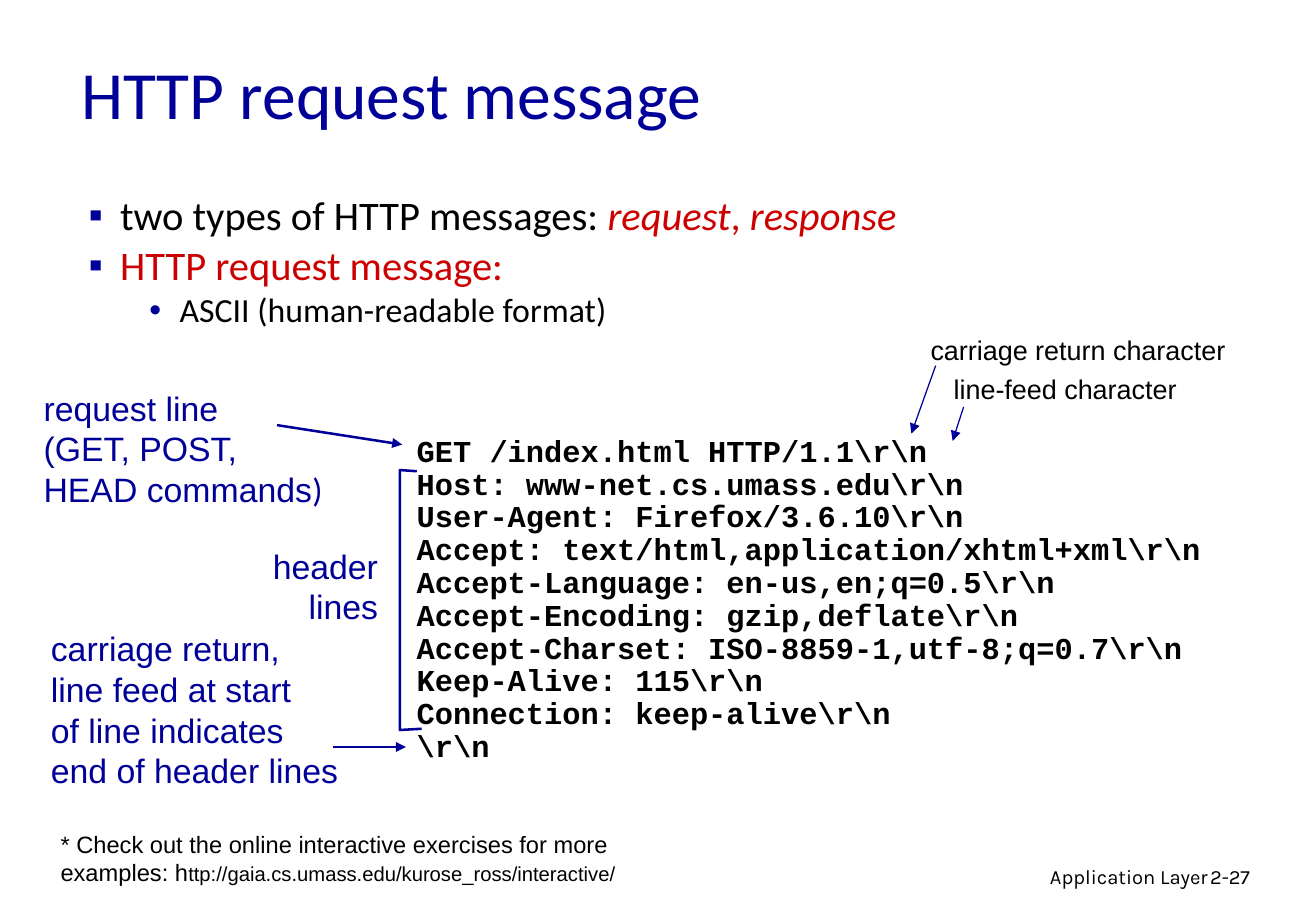
import pptx
import pptx.util
import pptx.dml.color
import pptx.enum.shapes
import pptx.enum.text
import pptx.oxml.ns
from lxml import etree

Inches = pptx.util.Inches
Pt = pptx.util.Pt
RGBColor = pptx.dml.color.RGBColor
ALIGN = pptx.enum.text.PP_ALIGN
ANCHOR = pptx.enum.text.MSO_ANCHOR

NAVY = RGBColor(0x00, 0x00, 0x99)
RED = RGBColor(0xCC, 0x00, 0x00)
BLACK = RGBColor(0x00, 0x00, 0x00)

REQUEST = r"""GET /index.html HTTP/1.1\r\n
Host: www-net.cs.umass.edu\r\n
User-Agent: Firefox/3.6.10\r\n
Accept: text/html,application/xhtml+xml\r\n
Accept-Language: en-us,en;q=0.5\r\n
Accept-Encoding: gzip,deflate\r\n
Accept-Charset: ISO-8859-1,utf-8;q=0.7\r\n
Keep-Alive: 115\r\n
Connection: keep-alive\r\n
\r\n"""


def add_child(parent, tag, **attributes):
    child = etree.SubElement(parent, pptx.oxml.ns.qn(tag))
    for name, value in attributes.items():
        child.set(name, value)
    return child


def style_run(r, size, font, color, bold=False, italic=False):
    r.font.size = Pt(size)
    r.font.name = font
    r.font.color.rgb = color
    r.font.bold = bold
    r.font.italic = italic


def add_text(slide, box, text, size, font="Arial", color=BLACK, wrap=False,
             align=ALIGN.LEFT, spacing=None, bold=False, anchor=ANCHOR.TOP):
    """Add a text box with one paragraph for each line of text."""
    tf = slide.shapes.add_textbox(*map(Inches, box)).text_frame
    tf.word_wrap = wrap
    tf.vertical_anchor = anchor
    tf.text = text
    for p in tf.paragraphs:
        p.alignment = align
        if spacing:
            p.line_spacing = spacing
        for r in p.runs:
            style_run(r, size, font, color, bold)
    return tf


def add_bullets(slide, box, bullets):
    """Each bullet is (character, size, indent, hang, [(text, color, italic)])."""
    tf = slide.shapes.add_textbox(*map(Inches, box)).text_frame
    tf.word_wrap = True
    for i, (char, size, indent, hang, parts) in enumerate(bullets):
        p = tf.add_paragraph() if i else tf.paragraphs[0]
        pPr = p._p.get_or_add_pPr()
        pPr.set("marL", str(Inches(indent)))
        pPr.set("indent", str(-Inches(hang)))
        add_child(add_child(pPr, "a:buClr"), "a:srgbClr", val=str(NAVY))
        add_child(pPr, "a:buFont", typeface="Arial")
        add_child(pPr, "a:buChar", char=char)
        p.line_spacing = 0.85
        if i:
            p.space_before = Pt(size * 0.2)
        for text, color, italic in parts:
            r = p.add_run()
            r.text = text
            style_run(r, size, "Calibri", color, italic=italic)


def add_arrow(slide, start, end, width):
    line = slide.shapes.add_connector(
        pptx.enum.shapes.MSO_CONNECTOR.STRAIGHT, *map(Inches, start + end))
    line.line.color.rgb = NAVY
    line.line.width = Pt(width)
    add_child(line.line._get_or_add_ln(), "a:tailEnd", type="triangle")
    add_child(line._element.spPr, "a:effectLst")


def add_bracket(slide, points):
    first, *rest = [tuple(map(Inches, point)) for point in points]
    builder = slide.shapes.build_freeform(*first)
    builder.add_line_segments(rest, close=False)
    sp = builder.convert_to_shape()
    sp.shadow.inherit = False
    sp.fill.background()
    sp.line.color.rgb = NAVY
    sp.line.width = Pt(1.5)


def main():
    prs = pptx.Presentation()
    prs.slide_width = Inches(10.83)
    prs.slide_height = Inches(7.5)
    slide = prs.slides.add_slide(prs.slide_layouts[6])

    add_text(slide, (0.57, 0.26, 9.21, 1), "HTTP request message", 40, "Calibri",
             NAVY, wrap=True, anchor=ANCHOR.MIDDLE)
    add_bullets(slide, (0.63, 1.58, 9.21, 5.08), [
        ("▪", 24, 0.26, 0.26, [("two types of HTTP messages: ", BLACK, False),
                               ("request", RED, True), (", ", RED, False),
                               ("response", RED, True)]),
        ("▪", 24, 0.26, 0.26, [("HTTP request message:", RED, False)]),
        ("•", 20, 0.75, 0.25, [("ASCII (human-readable format)", BLACK, False)]),
    ])

    tf = add_text(slide, (0.26, 3.14, 2.52, 1.11),
                  "request line\n(GET, POST,\nHEAD commands", 20, color=NAVY)
    r = tf.paragraphs[-1].add_run()
    r.text = ")"
    style_run(r, 20, "Calibri", NAVY)
    add_text(slide, (2.14, 4.44, 1.07, 0.77), "header\nlines", 20, color=NAVY,
             align=ALIGN.RIGHT)
    tf = add_text(slide, (0.32, 5.16, 2.59, 1.41),
                  "carriage return,\nline feed at start\n"
                  "of line indicates\nend of header lines", 20, color=NAVY)
    tf.paragraphs[0].line_spacing = 0.9

    add_bracket(slide, [(3.43, 3.88), (3.29, 3.87), (3.29, 6.01), (3.47, 6)])
    add_text(slide, (3.33, 3.54, 6.68, 2.83), REQUEST, 18, "Courier New",
             spacing=0.9, bold=True)
    add_text(slide, (7.56, 2.7, 2.66, 0.37), "carriage return character", 16)
    add_text(slide, (7.75, 3.02, 2.06, 0.37), "line-feed character", 16)

    for start, end, width in [
        ((2.28, 3.5), (3.31, 3.66), 1.5),
        ((2.74, 6.15), (3.34, 6.15), 1.5),
        ((7.7, 3.01), (7.5, 3.57), 0.75),
        ((7.93, 3.35), (7.84, 3.63), 0.75),
    ]:
        add_arrow(slide, start, end, width)

    tf = add_text(slide, (0.4, 6.78, 5.34, 0.57),
                  "* Check out the online interactive exercises for more examples: h",
                  14, wrap=True)
    r = tf.paragraphs[0].add_run()
    r.text = "ttp://gaia.cs.umass.edu/kurose_ross/interactive/"
    style_run(r, 12, "Arial", BLACK)
    add_text(slide, (6.61, 7.07, 3.43, 0.31), "Application Layer", 12, "Karla",
             wrap=True, align=ALIGN.RIGHT)
    add_text(slide, (9.86, 7.07, 0.8, 0.3), "2-27", 12, "Karla", wrap=True)

    prs.save("out.pptx")


if __name__ == "__main__":
    main()
